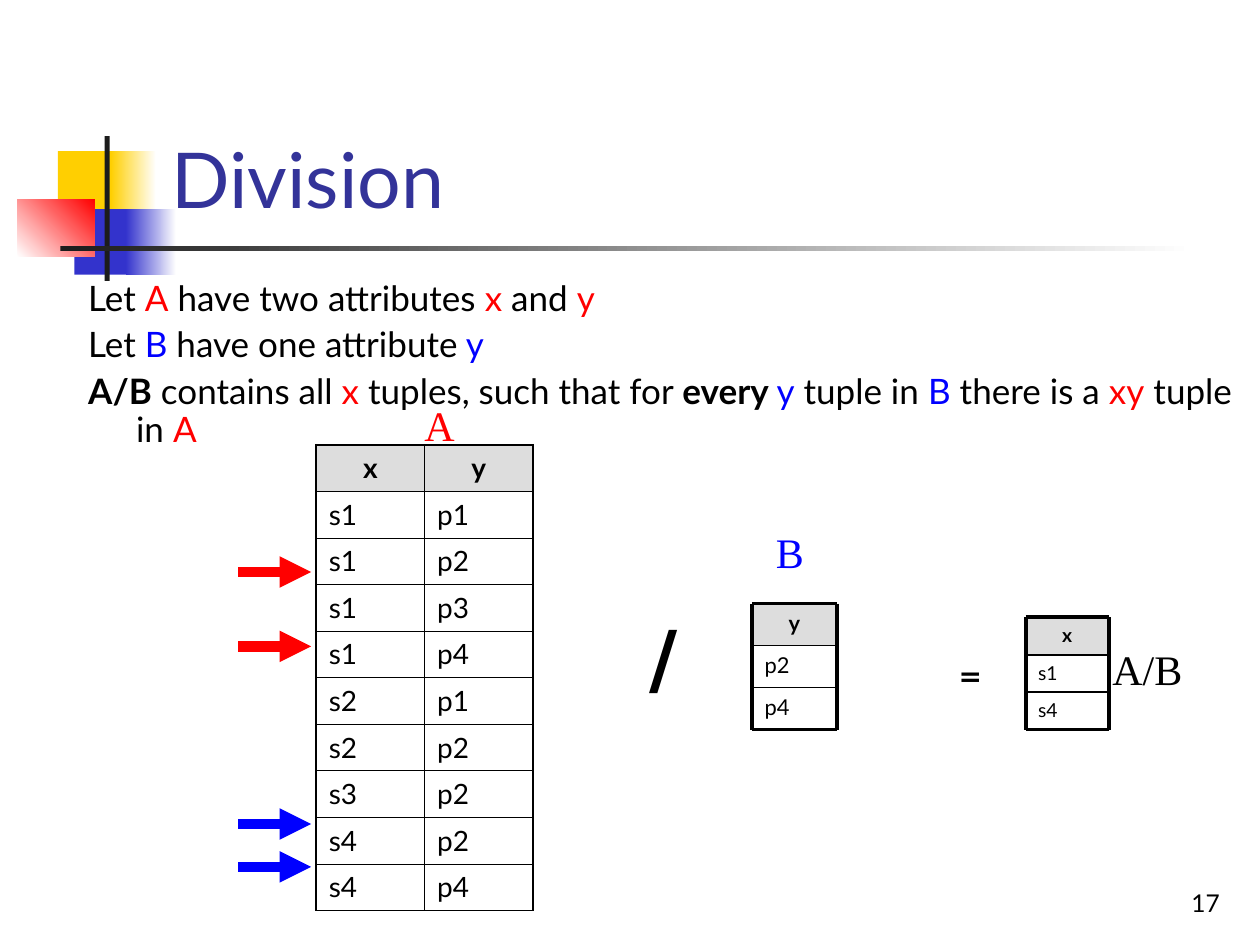
from lxml.etree import SubElement
from pptx import Presentation
from pptx.dml.color import RGBColor
from pptx.enum.shapes import MSO_CONNECTOR, MSO_SHAPE
from pptx.enum.text import MSO_ANCHOR, MSO_AUTO_SIZE, PP_ALIGN
from pptx.oxml.ns import qn
from pptx.util import Inches, Pt

BLACK = RGBColor(0x00, 0x00, 0x00)
WHITE = RGBColor(0xFF, 0xFF, 0xFF)
RED = RGBColor(0xFF, 0x00, 0x00)
BLUE = RGBColor(0x00, 0x00, 0xFF)
YELLOW = RGBColor(0xFF, 0xCF, 0x01)
INDIGO = RGBColor(0x33, 0x33, 0xCC)
TITLE_COLOR = RGBColor(0x33, 0x33, 0x99)
CHARCOAL = RGBColor(0x1C, 0x1C, 0x1C)
GRAY = RGBColor(0xDD, 0xDD, 0xDD)

SANS, SERIF, SYMBOL = "Lato", "Times New Roman", "DejaVu Sans"


class SlideBuilder:
    def __init__(self, slide):
        self.slide = slide

    def place(self, shape, box):
        shape.left, shape.top, shape.width, shape.height = map(Inches, box)

    def add_run(self, paragraph, text, size, color=BLACK, bold=False, font=SANS):
        run = paragraph.add_run()
        run.text = text
        run.font.name = font
        run.font.size = Pt(size)
        run.font.bold = bold
        run.font.color.rgb = color

    def title(self, text, box):
        shape = self.slide.shapes.title
        self.place(shape, box)
        shape.text_frame.vertical_anchor = MSO_ANCHOR.BOTTOM
        paragraph = shape.text_frame.paragraphs[0]
        paragraph.alignment = PP_ALIGN.LEFT
        self.add_run(paragraph, text, 44, TITLE_COLOR)

    def body(self, lines, box):
        shape = self.slide.placeholders[1]
        self.place(shape, box)
        frame = shape.text_frame
        frame.auto_size = MSO_AUTO_SIZE.NONE
        for index, runs in enumerate(lines):
            paragraph = frame.add_paragraph() if index else frame.paragraphs[0]
            properties = paragraph._p.get_or_add_pPr()
            properties.set("marL", str(Inches(0.38)))
            properties.set("indent", str(Inches(-0.38)))
            SubElement(properties, qn("a:buNone"))
            paragraph.line_spacing = 0.9
            paragraph.space_before = Pt(5 if index else 0)
            for text, *style in runs:
                self.add_run(paragraph, text, 20, *style)

    def block(self, box, color, end_color=None, angle=0):
        shape = self.slide.shapes.add_shape(MSO_SHAPE.RECTANGLE, *map(Inches, box))
        shape.shadow.inherit = False
        shape.line.fill.background()
        if end_color is None:
            shape.fill.solid()
            shape.fill.fore_color.rgb = color
            return
        shape.fill.gradient()
        shape.fill.gradient_angle = angle
        for stop, stop_color in zip(shape.fill.gradient_stops, (color, end_color)):
            stop.color.rgb = stop_color

    def text(self, text, box, size, color=BLACK, bold=False, font=SANS,
             wrap=False, align=PP_ALIGN.LEFT, anchor=MSO_ANCHOR.TOP, fill=None, parent=None):
        shape = (parent or self.slide).shapes.add_textbox(*map(Inches, box))
        frame = shape.text_frame
        frame.word_wrap = wrap
        frame.auto_size = MSO_AUTO_SIZE.NONE if wrap else MSO_AUTO_SIZE.SHAPE_TO_FIT_TEXT
        frame.vertical_anchor = anchor
        if fill is not None:
            shape.fill.solid()
            shape.fill.fore_color.rgb = fill
        frame.paragraphs[0].alignment = align
        self.add_run(frame.paragraphs[0], text, size, color, bold, font)

    def line(self, parent, start, end, width, color=BLACK, arrow=False):
        connector = parent.shapes.add_connector(
            MSO_CONNECTOR.STRAIGHT, *map(Inches, (*start, *end)))
        connector.line.color.rgb = color
        connector.line.width = Pt(width)
        if arrow:
            SubElement(connector.line._get_or_add_ln(), qn("a:tailEnd"), type="triangle")
        SubElement(connector._element.spPr, qn("a:effectLst"))

    def arrows(self, heights, color):
        group = self.slide.shapes.add_group_shape()
        for y in heights:
            self.line(group, (1.89, y), (2.47, y), 6, color, arrow=True)

    def border(self, cell, side, width):
        line = SubElement(cell._tc.get_or_add_tcPr(), qn("a:ln" + side), w=str(Pt(width)))
        fill = SubElement(line, qn("a:solidFill"))
        SubElement(fill, qn("a:srgbClr"), val=str(BLACK))

    def table(self, rows, box):
        frame = self.slide.shapes.add_table(len(rows), len(rows[0]), *map(Inches, box))
        last_row, last_column = len(rows) - 1, len(rows[0]) - 1
        for i, values in enumerate(rows):
            for j, value in enumerate(values):
                cell = frame.table.cell(i, j)
                outer = {"L": j == 0, "R": j == last_column, "T": i == 0, "B": i == last_row}
                for side, is_outer in outer.items():
                    self.border(cell, side, 1.08 if is_outer else 0.45)
                if i == 0:
                    cell.fill.solid()
                    cell.fill.fore_color.rgb = GRAY
                else:
                    cell.fill.background()
                paragraph = cell.text_frame.paragraphs[0]
                paragraph.alignment = PP_ALIGN.LEFT if i else PP_ALIGN.CENTER
                self.add_run(paragraph, value, 16, bold=i == 0)

    def column(self, values, box, size):
        left, top, width, height = box
        right, bottom = left + width, top + height
        step = height / len(values)
        group = self.slide.shapes.add_group_shape()
        for i, value in enumerate(values):
            self.text(value, (left, top + i * step, width, step), size, bold=i == 0, wrap=True,
                      align=PP_ALIGN.LEFT if i else PP_ALIGN.CENTER,
                      fill=None if i else GRAY, parent=group)
        for i in range(len(values) + 1):
            y = top + i * step
            self.line(group, (left, y), (right, y), 2.25 if i in (0, len(values)) else 1)
        for x in (left, right):
            self.line(group, (x, top), (x, bottom), 2.25)
        return group


def main():
    presentation = Presentation()
    presentation.slide_width, presentation.slide_height = Inches(10), Inches(7.5)
    builder = SlideBuilder(presentation.slides.add_slide(presentation.slide_layouts[1]))

    builder.block((0.46, 1.2, 0.48, 0.52), YELLOW)
    builder.block((0.88, 1.2, 0.36, 0.52), YELLOW, WHITE)
    builder.block((0.59, 1.66, 0.46, 0.52), INDIGO)
    builder.block((1, 1.66, 0.4, 0.52), INDIGO, WHITE)
    builder.block((0.14, 1.58, 0.61, 0.46), WHITE, RED, 45)
    builder.block((0.83, 1.08, 0.04, 1.15), CHARCOAL)
    builder.block((0.48, 1.95, 9, 0.04), CHARCOAL, WHITE)

    builder.text("17", (7.7, 6.83, 2.08, 0.5), 14, wrap=True,
                 align=PP_ALIGN.RIGHT, anchor=MSO_ANCHOR.BOTTOM)
    builder.title("Division", (1.26, 0.23, 8.52, 1.6))
    builder.body([
        [("Let ",), ("A", RED), (" have two attributes ",), ("x", RED), (" and ",), ("y", RED)],
        [("Let ",), ("B", BLUE), (" have one attribute",), (" y", BLUE)],
        [("A/B", BLACK, True), (" contains all ",), ("x", RED), (" tuples, such that for ",),
         ("every ", BLACK, True), ("y", BLUE), (" tuple in ",), ("B", BLUE),
         (" there is a ",), ("xy", RED), (" tuple in ",), ("A", RED)],
    ], (0.6, 2.18, 9.36, 4.26))

    builder.table([
        ("x", "y"),
        ("s1", "p1"), ("s1", "p2"), ("s1", "p3"), ("s1", "p4"),
        ("s2", "p1"), ("s2", "p2"), ("s3", "p2"), ("s4", "p2"), ("s4", "p4"),
    ], (2.51, 3.53, 1.72, 3.7))
    builder.text("A", (3.27, 3.12, 0.44, 0.5), 24, RED, font=SERIF)

    builder.column(("y", "p2", "p4"), (5.97, 4.79, 0.67, 1), 12.5)
    builder.text("B", (6.06, 4.13, 0.42, 0.5), 24, BLUE, font=SERIF)

    quotient = builder.column(("x", "s1", "s4"), (8.14, 4.9, 0.66, 0.89), 11)
    builder.text("A/B", (8.73, 5.06, 0.85, 0.5), 24, font=SERIF, wrap=True, parent=quotient)

    builder.text("/", (5.06, 4.79, 0.45, 0.84), 44, bold=True, font=SYMBOL)
    builder.text("=", (7.51, 5.18, 0.32, 0.37), 16, bold=True, font=SYMBOL)

    builder.arrows((4.54, 5.13), RED)
    builder.arrows((6.54, 6.88), BLUE)

    presentation.save("out.pptx")


if __name__ == "__main__":
    main()
